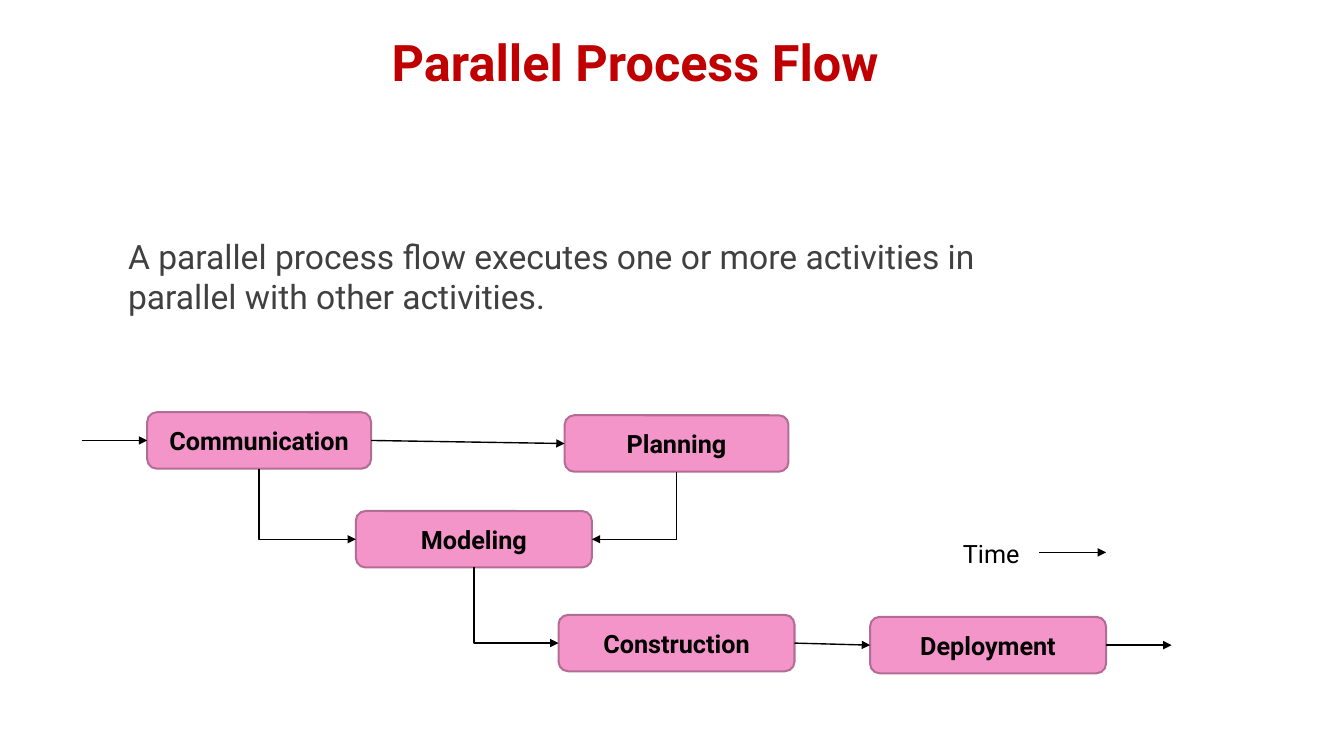
from lxml.etree import SubElement
from pptx import Presentation
from pptx.dml.color import RGBColor
from pptx.enum.shapes import MSO_CONNECTOR, MSO_SHAPE
from pptx.enum.text import MSO_ANCHOR, PP_ALIGN
from pptx.oxml.ns import qn
from pptx.util import Inches, Pt

COLORS = {"title": "C00000", "body": "404040", "ink": "000000",
          "box": "F495CA", "border": "B36C94"}
RIGHT, LEFT = 3, 1  # connection sites of a box


class FlowSlide:
    font = "Roboto"
    box_height = 0.56

    def __init__(self, prs):
        self.s = prs.slides.add_slide(prs.slide_layouts[6])

    def color(self, name):
        return RGBColor.from_string(COLORS[name])

    def add_run(self, sp, text, size, color, bold=False, align=PP_ALIGN.LEFT,
                spacing=None):
        tf = sp.text_frame
        tf.word_wrap = True
        tf.margin_left = tf.margin_right = tf.margin_top = tf.margin_bottom = 0
        p = tf.paragraphs[0]
        p.alignment = align
        if spacing:
            p.line_spacing = Pt(spacing)
        r = p.add_run()
        r.text = text
        r.font.name = self.font
        r.font.size = Pt(size)
        r.font.bold = bold
        r.font.color.rgb = self.color(color)

    def text(self, left, top, width, height, text, size, color, **style):
        sp = self.s.shapes.add_textbox(Inches(left), Inches(top),
                                       Inches(width), Inches(height))
        self.add_run(sp, text, size, color, **style)

    def box(self, left, top, width, text):
        sp = self.s.shapes.add_shape(
            MSO_SHAPE.ROUNDED_RECTANGLE, Inches(left), Inches(top),
            Inches(width), Inches(self.box_height))
        sp.adjustments[0] = 0.17
        sp.shadow.inherit = False
        sp.fill.solid()
        sp.fill.fore_color.rgb = self.color("box")
        sp.line.color.rgb = self.color("border")
        sp.line.width = Pt(1.44)
        self.add_run(sp, text, 18, "ink", bold=True, align=PP_ALIGN.CENTER)
        sp.text_frame.vertical_anchor = MSO_ANCHOR.MIDDLE
        return sp

    def arrowhead(self, sp):
        sp.line.color.rgb = self.color("ink")
        sp.line.width = Pt(1)
        ln = sp.element.spPr.find(qn("a:ln"))
        SubElement(ln, qn("a:tailEnd"), type="triangle")

    def arrow(self, x1, y1, x2, y2):
        c = self.s.shapes.add_connector(MSO_CONNECTOR.STRAIGHT, x1, y1, x2, y2)
        self.arrowhead(c)
        SubElement(c.element.spPr, qn("a:effectLst"))
        return c

    def link(self, source, target):
        c = self.arrow(0, 0, 0, 0)
        c.begin_connect(source, RIGHT)
        c.end_connect(target, LEFT)

    def corner(self, source, target):
        """Runs down from the source, then sideways into the target."""
        x = source.left + source.width // 2
        y = target.top + target.height // 2
        end = target.left if x < target.left else target.left + target.width
        fb = self.s.shapes.build_freeform(x, source.top + source.height)
        fb.add_line_segments([(x, y), (end, y)], close=False)
        sp = fb.convert_to_shape()
        sp.shadow.inherit = False
        sp.fill.background()
        self.arrowhead(sp)


def main():
    prs = Presentation()
    prs.slide_width, prs.slide_height = Inches(13.33), Inches(7.5)
    flow = FlowSlide(prs)

    # Title and definition
    flow.text(3.59, 0.31, 5.42, 0.6, "Parallel Process Flow", 36, "title",
              bold=True, align=PP_ALIGN.CENTER)
    flow.text(1.27, 2.34, 8.75, 0.8,
              "A parallel process flow executes one or more activities in "
              "parallel with other activities.", 24, "body", spacing=28.8)

    # Activities
    communication = flow.box(1.46, 4.09, 2.22, "Communication")
    planning = flow.box(5.6, 4.12, 2.22, "Planning")
    modeling = flow.box(3.53, 5.07, 2.34, "Modeling")
    construction = flow.box(5.54, 6.1, 2.34, "Construction")
    deployment = flow.box(8.63, 6.12, 2.34, "Deployment")

    # Flow between activities
    flow.link(communication, planning)
    flow.link(construction, deployment)
    for source, target in ((communication, modeling), (planning, modeling),
                           (modeling, construction)):
        flow.corner(source, target)

    # Entry, exit and time axis
    for left, y, right in ((0.81, 4.37, 1.46), (10.97, 6.4, 11.62),
                           (10.31, 5.48, 10.97)):
        flow.arrow(Inches(left), Inches(y), Inches(right), Inches(y))
    flow.text(9.55, 5.34, 0.62, 0.3, "Time", 18, "ink")

    prs.save("out.pptx")


if __name__ == "__main__":
    main()
